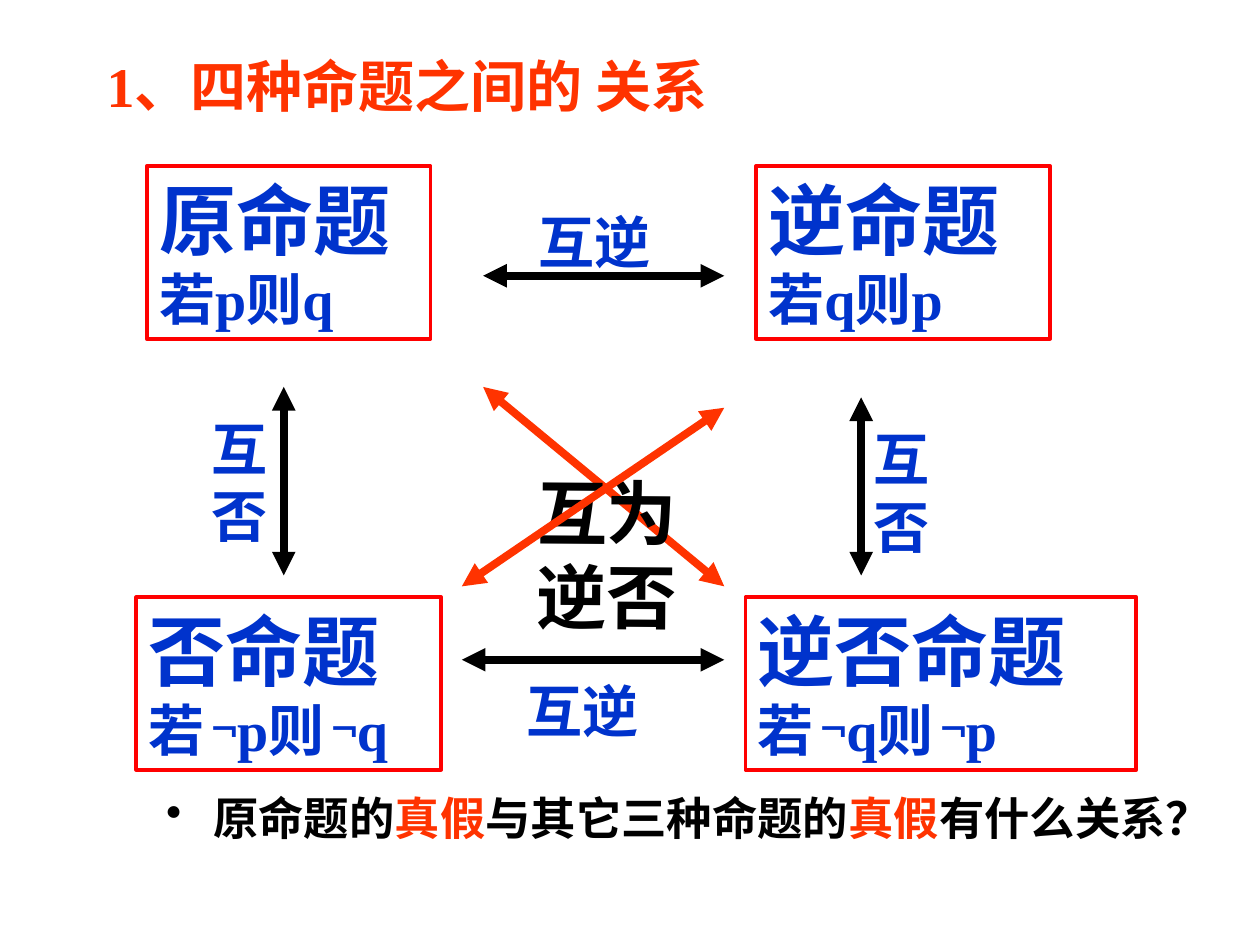
"""Build a slide on the relations between the four forms of a proposition."""
from lxml import etree
from pptx import Presentation
from pptx.dml.color import RGBColor
from pptx.enum.shapes import MSO_CONNECTOR, MSO_SHAPE
from pptx.enum.text import MSO_ANCHOR, PP_ALIGN
from pptx.oxml.ns import qn
from pptx.util import Cm, Pt

STRAIGHT = MSO_CONNECTOR.STRAIGHT
RECTANGLE = MSO_SHAPE.RECTANGLE
TOP = MSO_ANCHOR.TOP
LEFT, CENTER = PP_ALIGN.LEFT, PP_ALIGN.CENTER
BLACK = RGBColor(0x00, 0x00, 0x00)
BLUE = RGBColor(0x00, 0x33, 0xCC)
ORANGE = RGBColor(0xFF, 0x33, 0x00)
RED = RGBColor(0xFF, 0x00, 0x00)
SERIF = "Times New Roman"
HAN = "Noto Sans CJK SC"
ROUNDED = "Comic Neue"


def add_span(para, text, size, color, font_name=SERIF):
    span = para.add_run()
    span.text = text
    span.font.size = Pt(size)
    span.font.bold = True
    span.font.color.rgb = color
    span.font.name = font_name
    etree.SubElement(span.font._element, qn("a:ea"), typeface=HAN)
    return span


def add_label(left, top, width, height):
    box = page.shapes.add_textbox(Cm(left), Cm(top), Cm(width), Cm(height))
    box.text_frame.word_wrap = True
    return box


deck = Presentation()
deck.slide_width, deck.slide_height = Cm(25.4), Cm(19.05)
page = deck.slides.add_slide(deck.slide_layouts[6])

title = add_label(1.9, 0.91, 13.41, 1.63)
add_span(title.text_frame.paragraphs[0], "1、四种命题之间的 关系", 32, ORANGE)

propositions = [
    (2.96, 3.35, 5.72, "原命题", ["若p则q"]),
    (15.24, 3.35, 5.93, "逆命题", ["若q则p"]),
    (2.75, 12.04, 6.14, "否命题", ["若", "﹁", "p则", "﹁", "q"]),
    (15.03, 12.04, 7.88, "逆否命题", ["若", "﹁", "q则", "﹁", "p"]),
]
for left, top, width, name, formula in propositions:
    box = page.shapes.add_shape(RECTANGLE, Cm(left), Cm(top), Cm(width), Cm(3.48))
    box.shadow.inherit = False
    box.fill.background()
    box.line.color.rgb = RED
    box.line.width = Pt(2.25)
    frame = box.text_frame
    frame.vertical_anchor = TOP
    add_span(frame.paragraphs[0], name, 44, BLUE)
    formula_para = frame.add_paragraph()
    for part in formula:
        span = add_span(formula_para, part, 32, BLUE)
        if part == "﹁":
            span.font._element.set("baseline", "30000")
    for para in frame.paragraphs:
        para.alignment = LEFT

relations = [
    (10.6, 4.06, 3.6, 1.63, "互逆"),
    (4.02, 8.23, 1.48, 2.97, "互否"),
    (17.36, 8.44, 1.69, 2.97, "互否"),
    (10.37, 13.51, 3.39, 1.63, "互逆"),
]
for left, top, width, height, name in relations:
    label = add_label(left, top, width, height)
    add_span(label.text_frame.paragraphs[0], name, 32, BLUE)

arrows = [
    (9.74, 5.56, 14.6, 5.56, BLACK),
    (5.72, 7.8, 5.72, 11.6, BLACK),
    (17.36, 8.01, 17.36, 11.6, BLACK),
    (9.31, 13.3, 14.6, 13.3, BLACK),
    (9.74, 7.8, 14.6, 11.82, ORANGE),
    (9.31, 11.82, 14.6, 8.22, ORANGE),
]
for *ends, color in arrows:
    arrow = page.shapes.add_connector(STRAIGHT, *map(Cm, ends))
    arrow.line.color.rgb = color
    arrow.line.width = Pt(4.5)
    outline = arrow.line._get_or_add_ln()
    for end in ("a:headEnd", "a:tailEnd"):
        etree.SubElement(outline, qn(end), type="triangle")
    etree.SubElement(arrow._element.spPr, qn("a:effectLst"))

cross_label = add_label(9.73, 9.35, 5.03, 0.79)
cross_label.text_frame.word_wrap = False
cross_label.rotation = 0.5
cross_para = cross_label.text_frame.paragraphs[0]
cross_para.alignment = CENTER
add_span(cross_para, "互为", 40, BLACK, HAN)
gap = add_span(cross_para, " ", 40, BLACK, HAN)
gap.font._element.set("spc", "900")
add_span(cross_para, "逆否", 40, BLACK, HAN)
rising_arrow = arrow._element
rising_arrow.addprevious(cross_label._element)

question = add_label(3.1, 15.93, 20.75, 2.59)
question_para = question.text_frame.paragraphs[0]
question_para.line_spacing = 0.9
properties = question_para._p.get_or_add_pPr()
properties.set("marL", str(Cm(0.95)))
properties.set("indent", str(Cm(-0.95)))
bullet_color = etree.SubElement(properties, qn("a:buClr"))
etree.SubElement(bullet_color, qn("a:srgbClr"), val=str(BLACK))
etree.SubElement(properties, qn("a:buChar"), char="•")
question_parts = [
    ("原命题的", BLACK),
    ("真假", ORANGE),
    ("与其它三种命题的", BLACK),
    ("真假", ORANGE),
    ("有什么关系？", BLACK),
]
for text, color in question_parts:
    add_span(question_para, text, 25.9, color, ROUNDED)

deck.save("out.pptx")
